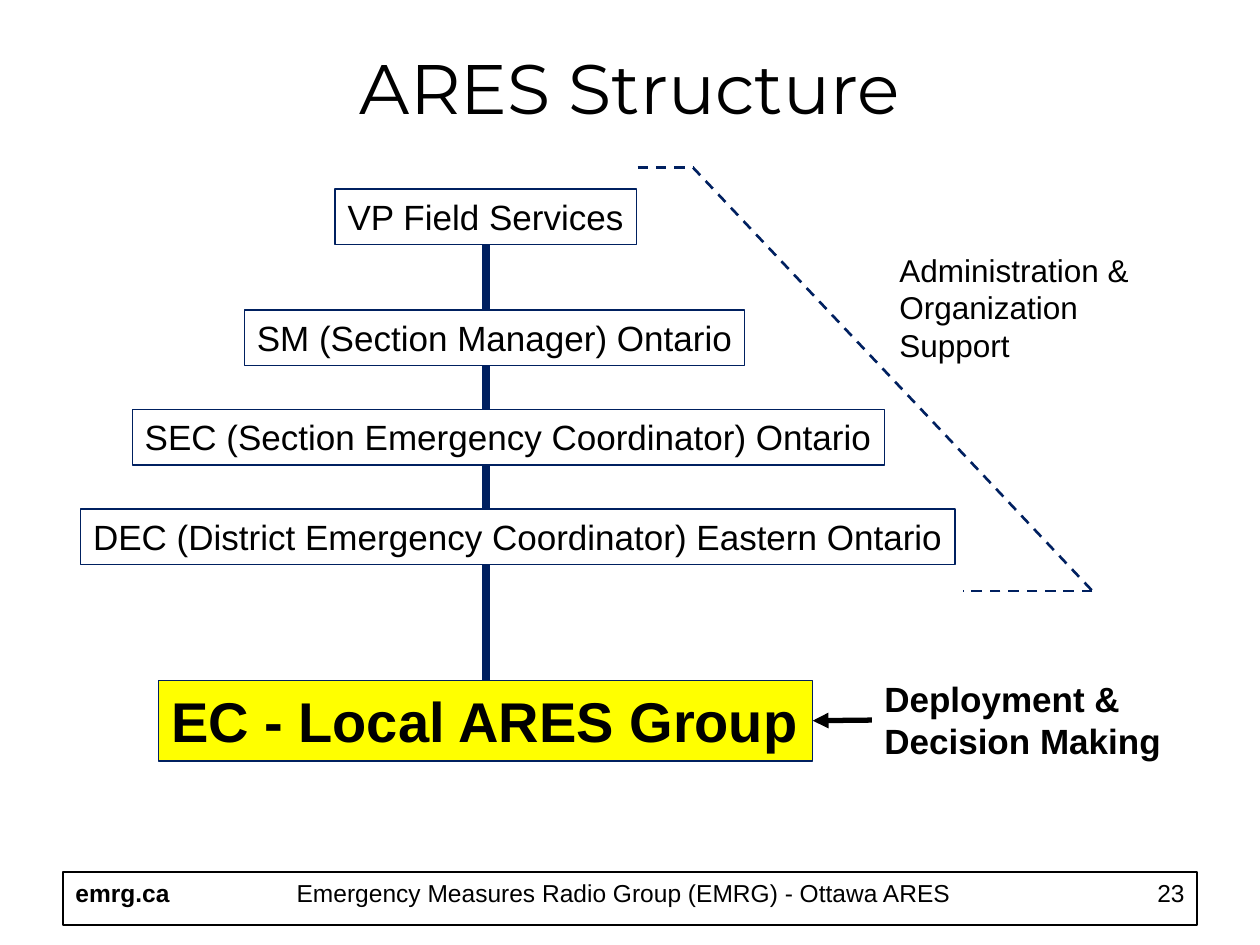
from pptx import Presentation
from pptx.dml.color import RGBColor
from pptx.enum.dml import MSO_LINE
from pptx.enum.shapes import MSO_CONNECTOR, MSO_SHAPE
from pptx.enum.text import MSO_ANCHOR, MSO_AUTO_SIZE, PP_ALIGN
from pptx.oxml.ns import qn
from pptx.util import Inches, Pt
from lxml.etree import SubElement

NAVY, BLACK, WHITE, YELLOW = "002060", "000000", "FFFFFF", "FFFF00"
LEFT, MID, RIGHT = PP_ALIGN.LEFT, PP_ALIGN.CENTER, PP_ALIGN.RIGHT

# Places are in cells of a grid with 100 columns and 75 rows.
TITLE = ("ARES Structure", (5, 3, 90, 7.8))
HEAD = ("VP Field Services", 26.6, 15, 23.9)
STAFF = [  # text, left, width
    ("SM (Section Manager) Ontario", 19.4, 39.7),
    ("SEC (Section Emergency Coordinator) Ontario", 10.5, 59.7),
    ("DEC (District Emergency Coordinator) Eastern Ontario", 6.4, 69.4),
]
STAFF_TOP, STEP, BOX_H = 24.6, 7.9, 4.4
LOCAL = ("EC - Local ARES Group", (12.6, 54, 51.9, 6.4))
ADMIN = ("Administration & Organization Support", (70.4, 19.4, 21.2, 10))
DEPLOY = ("Deployment & Decision Making", (69.2, 53.3, 25.8, 7.7))
BRACE = [(50.6, 13.3), (55, 13.3), (86.7, 46.9), (76.4, 46.9)]
FRAME = (5, 69.2, 90, 4.2)
FOOTER = [  # text, place, alignment, bold
    ("emrg.ca", (5, 69.2, 10.1, 3.4), LEFT, True),
    ("Emergency Measures Radio Group (EMRG) - Ottawa ARES",
     (16.5, 69.2, 66, 4.3), MID, False),
    ("23", (83.1, 69.2, 11.9, 4.3), RIGHT, False),
]

deck = Presentation()
deck.slide_width, deck.slide_height = Inches(10), Inches(7.5)
CELL = deck.slide_width / 100
slide = deck.slides.add_slide(deck.slide_layouts[6])
shapes = slide.shapes


def color(code):
    return RGBColor.from_string(code)


def cells(place):
    return [round(n * CELL) for n in place]


def write(shape, text, size, bold=False, align=LEFT, font="Arial",
          anchor=MSO_ANCHOR.TOP, wrap=True):
    frame = shape.text_frame
    frame.text = text
    frame.word_wrap = wrap
    frame.auto_size = MSO_AUTO_SIZE.NONE
    frame.vertical_anchor = anchor
    para = frame.paragraphs[0]
    para.alignment = align
    style = para.runs[0].font
    style.name, style.size, style.bold = font, Pt(size), bold
    style.color.rgb = color(BLACK)


def label(text, place, size, **look):
    box = shapes.add_textbox(*cells(place))
    write(box, text, size, **look)
    return box


def panel(place, fill=None, line=NAVY, width=0.75):
    box = shapes.add_shape(MSO_SHAPE.RECTANGLE, *cells(place))
    box.shadow.inherit = False
    if fill:
        box.fill.solid()
        box.fill.fore_color.rgb = color(fill)
    else:
        box.fill.background()
    box.line.color.rgb = color(line)
    box.line.width = Pt(width)
    return box


def link(start, end, line, width):
    wire = shapes.add_connector(MSO_CONNECTOR.STRAIGHT, *cells(start + end))
    wire.line.color.rgb = color(line)
    wire.line.width = Pt(width)
    SubElement(wire._element.spPr, qn("a:effectLst"))
    return wire


def join(wire, first, side, last, other):
    wire.begin_connect(first, side)
    wire.end_connect(last, other)


panel(FRAME, line=BLACK, width=1)
for text, place, align, bold in FOOTER:
    label(text, place, 14, align=align, bold=bold)
label(*TITLE, 40, align=MID, font="Montserrat", anchor=MSO_ANCHOR.MIDDLE)

# The spine comes before the boxes, so that it runs behind them.
spine = link((38.5, 19.4), (38.5, 54), NAVY, 4.5)
text, left, top, width = HEAD
head = panel((left, top, width, BOX_H))
write(head, text, 20, wrap=False)
for row, (text, left, width) in enumerate(STAFF):
    box = panel((left, STAFF_TOP + row * STEP, width, BOX_H), WHITE)
    write(box, text, 20, wrap=False)
text, place = LOCAL
local = panel(place, YELLOW)
write(local, text, 32, bold=True, wrap=False)
join(spine, head, 2, local, 0)

label(*ADMIN, 18)
deploy = label(*DEPLOY, 20, bold=True)
arrow = link((69.2, 57.2), (64.5, 57.2), BLACK, 3)
join(arrow, deploy, 1, local, 3)
SubElement(arrow.line._get_or_add_ln(), qn("a:tailEnd"), type="triangle")

for start, end in zip(BRACE, BRACE[1:]):
    link(start, end, NAVY, 1.5).line.dash_style = MSO_LINE.DASH

deck.save("out.pptx")
